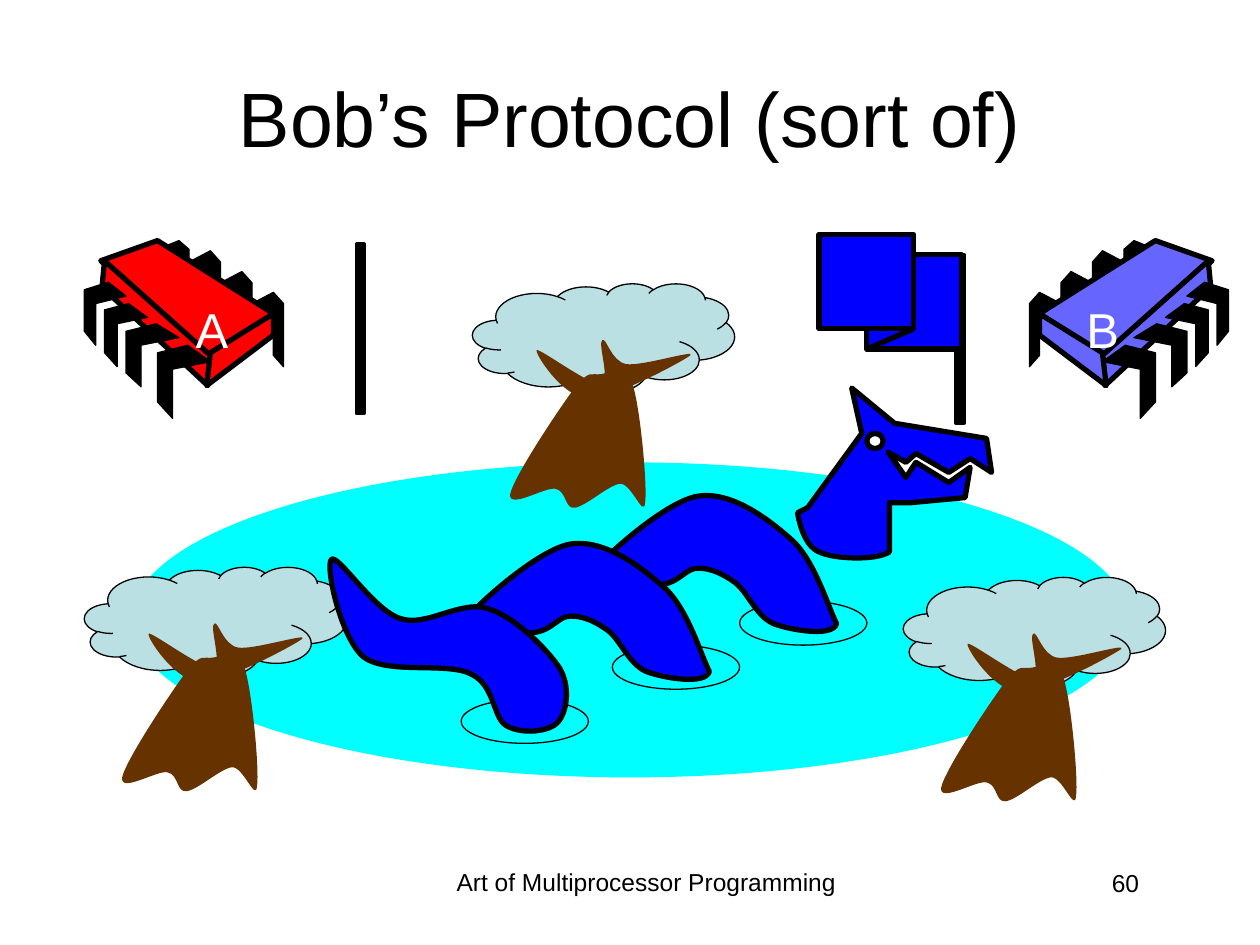
from lxml import etree
from pptx import Presentation
from pptx.dml.color import RGBColor
from pptx.enum.shapes import MSO_CONNECTOR, MSO_SHAPE
from pptx.enum.text import MSO_ANCHOR, MSO_AUTO_SIZE, PP_ALIGN
from pptx.oxml.ns import qn
from pptx.util import Inches, Pt

RECTANGLE, OVAL = MSO_SHAPE.RECTANGLE, MSO_SHAPE.OVAL
CLOUD = MSO_SHAPE.CLOUD_CALLOUT
LEFT, CENTER, RIGHT = PP_ALIGN.LEFT, PP_ALIGN.CENTER, PP_ALIGN.RIGHT
TOP, MIDDLE = MSO_ANCHOR.TOP, MSO_ANCHOR.MIDDLE

BLACK, WHITE, BLUE, RED = "000000", "FFFFFF", "0000FF", "FF0000"
VIOLET, CYAN, BROWN, LEAVES = "6666FF", "00FFFF", "663300", "BBE0E3"
THIN, POLE_LINE, THICK = 0.75, 2.25, 3

# An outline is a start point followed by lines (x, y) and curves (x1, y1, x2, y2, x, y).
BACK_PIN = [(2, 2.41), (2.17, 2.32), (2.25, 2.41), (2.25, 2.91),
            (2.17, 2.82), (2.17, 2.49), (2, 2.57)]
BACK_PIN_SHIFTS = [(0, 0), (-0.25, -0.165), (-0.5, -0.33)]
LAST_BACK_PIN = [(1.25, 1.98), (1.42, 1.91), (1.5, 1.98), (1.5, 2.41),
                 (1.42, 2.33), (1.42, 2.05), (1.25, 2.12)]
CHIP_FACES = [
    [(1.25, 1.91), (2.17, 2.49), (1.65, 2.84), (0.8, 2.07)],
    [(0.83, 2.07), (1.67, 2.82), (1.65, 3.06), (0.81, 2.28)],
    [(2.17, 2.49), (2.17, 2.66), (1.64, 3.06), (1.67, 2.8)],
]
FRONT_PINS = [
    [(1.49, 2.74), (1.67, 2.87), (1.37, 2.93), (1.37, 3.32), (1.25, 3.19), (1.25, 2.8)],
    [(1.24, 2.57), (1.42, 2.68), (1.12, 2.74), (1.12, 3.07), (1, 2.96), (1, 2.63)],
    [(1.02, 2.41), (1.17, 2.52), (0.93, 2.57), (0.93, 2.91), (0.83, 2.8), (0.83, 2.46)],
    [(0.86, 2.24), (1, 2.35), (0.76, 2.41), (0.76, 2.74), (0.67, 2.63), (0.67, 2.3)],
]
MIRROR_SUM = 10.42
CHIPS = [(RED, False), (VIOLET, True)]

TREE_CROWN = (3.75, 2.25, 2.08, 0.87)
TRUNK = [(4.56, 3.08), (4.68, 2.93, 4.69, 2.98, 4.77, 2.97),
         (4.84, 2.96, 4.96, 2.88, 5.02, 3.05), (5.08, 3.22, 5.14, 3.86, 5.12, 3.99),
         (5.11, 4.12, 5.01, 3.83, 4.92, 3.84), (4.83, 3.85, 4.65, 4.02, 4.56, 4.03),
         (4.48, 4.04, 4.5, 3.9, 4.41, 3.88), (4.33, 3.86, 4.03, 4.05, 4.05, 3.92),
         (4.08, 3.78, 4.44, 3.24, 4.56, 3.08)]
BRANCHES = [(4.26, 2.78), (4.24, 2.8, 4.46, 3.15, 4.66, 3.16),
            (4.87, 3.17, 5.43, 2.86, 5.48, 2.82), (5.53, 2.77, 5.09, 2.91, 4.97, 2.89),
            (4.85, 2.87, 4.81, 2.67, 4.78, 2.7), (4.74, 2.72, 4.85, 3.03, 4.77, 3.05),
            (4.68, 3.06, 4.28, 2.76, 4.26, 2.78)]
TREE_SHIFTS = [(0, 0), (3.42, 2.33), (-3.08, 2.25)]

HUMP = [(6.64, 4.95), (6.61, 5.06, 6.27, 5, 6.14, 4.95), (6, 4.89, 5.93, 4.69, 5.83, 4.62),
        (5.73, 4.55, 5.64, 4.51, 5.54, 4.51), (5.44, 4.51, 5.4, 4.62, 5.25, 4.64),
        (5.11, 4.65, 4.61, 4.72, 4.66, 4.6), (4.71, 4.49, 5.26, 3.99, 5.53, 3.94),
        (5.8, 3.89, 6.1, 4.12, 6.29, 4.29), (6.47, 4.46, 6.57, 4.81, 6.64, 4.95)]
HUMP_SHIFTS = [(0, 0), (-1.01, 0.38)]
HEAD = [(6.41, 4.03), (6.84, 3.44), (6.76, 3.08), (7.1, 3.36), (7.83, 3.48), (7.87, 3.75),
        (7.7, 3.64), (7.53, 3.75), (7.27, 3.6), (7.19, 3.67), (7.05, 3.59), (7.19, 3.79),
        (7.27, 3.67), (7.53, 3.83), (7.7, 3.71), (7.66, 3.95), (7.23, 3.99), (7.06, 3.99),
        (7.06, 4.38), (6.96, 4.45, 6.62, 4.44, 6.5, 4.38),
        (6.38, 4.33, 6.34, 4.13, 6.33, 4.07)]
TAIL = [(2.63, 4.44), (2.68, 4.39, 2.97, 4.85, 3.18, 4.91),
        (3.38, 4.98, 3.66, 4.76, 3.87, 4.83), (4.08, 4.89, 4.34, 5.15, 4.44, 5.3),
        (4.53, 5.45, 4.5, 5.65, 4.43, 5.73), (4.36, 5.81, 4.14, 5.83, 4.02, 5.76),
        (3.91, 5.7, 3.93, 5.44, 3.74, 5.35), (3.55, 5.25, 3.07, 5.36, 2.88, 5.21),
        (2.7, 5.05, 2.58, 4.49, 2.63, 4.44)]
RIPPLES = [(4.86, 5.12), (3.66, 5.55), (5.87, 4.77)]

LETTERS = [("A", 1.45), ("B", 8.52)]
CAPTIONS = [
    ("60", (7.06, 6.84, 2.08, 0.5), 14, RIGHT, TOP),
    ("Bob’s Protocol (sort of)", (0.5, 0.3, 9, 1.25), 44, CENTER, MIDDLE),
    ("Art of Multiprocessor Programming", (3.42, 6.83, 3.42, 0.52), 14, CENTER, TOP),
]


def color(value):
    return RGBColor.from_string(value)


def paint(shape, fill, width):
    shape.shadow.inherit = False
    if fill:
        shape.fill.solid()
        shape.fill.fore_color.rgb = color(fill)
    else:
        shape.fill.background()
    if width:
        shape.line.color.rgb = color(BLACK)
        shape.line.width = Pt(width)
    else:
        shape.line.fill.background()


def add_preset(shapes, kind, box, fill, width=0):
    shape = shapes.add_shape(kind, *map(Inches, box))
    paint(shape, fill, width)
    return shape


def shifted(outline, shift):
    return [tuple(value + shift[i % 2] for i, value in enumerate(step)) for step in outline]


def mirrored(outline):
    return [(MIRROR_SUM - x, y) for x, y in outline]


def add_outline(shapes, outline, fill, width=0):
    points = [(Inches(step[i]), Inches(step[i + 1]))
              for step in outline for i in range(0, len(step), 2)]
    builder = shapes.build_freeform(*points[0], scale=1.0)
    builder.add_line_segments(points[1:], close=True)
    shape = builder.convert_to_shape()
    segments = iter(list(shape.element.iter(qn("a:lnTo"))))
    for step in outline[1:]:
        segment = next(segments)
        if len(step) == 6:
            segment.tag = qn("a:cubicBezTo")
            for extra in (next(segments), next(segments)):
                segment.append(extra[0])
                extra.getparent().remove(extra)
    paint(shape, fill, width)


def add_text(shapes, text, box, size, align, anchor=TOP, ink=BLACK, wrap=True):
    text_box = shapes.add_textbox(*map(Inches, box))
    frame = text_box.text_frame
    frame.word_wrap = wrap
    frame.auto_size = MSO_AUTO_SIZE.NONE if wrap else MSO_AUTO_SIZE.SHAPE_TO_FIT_TEXT
    frame.vertical_anchor = anchor
    paragraph = frame.paragraphs[0]
    paragraph.text = text
    paragraph.alignment = align
    paragraph.font.name = "Arial"
    paragraph.font.size = Pt(size)
    paragraph.font.color.rgb = color(ink)


def add_chip(shapes, fill, flip):
    chip = shapes.add_group_shape().shapes
    back_pins = [shifted(BACK_PIN, shift) for shift in BACK_PIN_SHIFTS] + [LAST_BACK_PIN]
    parts = [(outline, BLACK, THIN) for outline in back_pins]
    parts += [(outline, fill, THICK) for outline in CHIP_FACES]
    parts += [(outline, BLACK, THIN) for outline in FRONT_PINS]
    for outline, part_fill, width in parts:
        add_outline(chip, mirrored(outline) if flip else outline, part_fill, width)


def add_tree(shapes, shift):
    tree = shapes.add_group_shape().shapes
    left, top, width, height = TREE_CROWN
    crown = add_preset(tree, CLOUD, (left + shift[0], top + shift[1], width, height), LEAVES, THIN)
    crown.adjustments[0], crown.adjustments[1] = 0.018, 0.493
    for outline in (TRUNK, BRANCHES):
        add_outline(tree, shifted(outline, shift), BROWN)


def add_flag(shapes):
    flag = shapes.add_group_shape().shapes
    add_preset(flag, RECTANGLE, (7.59, 2.02, 0.06, 1.34), BLACK, POLE_LINE)
    add_preset(flag, RECTANGLE, (6.88, 2.02, 0.75, 0.75), BLUE, THICK)
    fold = flag.add_connector(MSO_CONNECTOR.STRAIGHT, *map(Inches, (6.88, 2.77, 7.25, 2.61)))
    fold.line.color.rgb = color(BLACK)
    fold.line.width = Pt(THICK)
    etree.SubElement(fold.element.spPr, qn("a:effectLst"))
    add_preset(flag, RECTANGLE, (6.5, 1.86, 0.75, 0.75), BLUE, THICK)


def main():
    presentation = Presentation()
    presentation.slide_width, presentation.slide_height = Inches(10), Inches(7.5)
    slide = presentation.slides.add_slide(presentation.slide_layouts[6])
    shapes = slide.shapes

    for caption in CAPTIONS:
        add_text(shapes, *caption)
    for fill, flip in CHIPS:
        add_chip(shapes, fill, flip)
    add_preset(shapes, OVAL, (1.04, 3.67, 7.92, 2.5), CYAN)
    for letter, left in LETTERS:
        add_text(shapes, letter, (left, 2.33, 0.46, 0.57), 28, RIGHT, ink=WHITE, wrap=False)
    for shift in TREE_SHIFTS:
        add_tree(shapes, shift)
    add_flag(shapes)
    add_preset(shapes, RECTANGLE, (2.83, 1.94, 0.06, 1.34), BLACK, POLE_LINE)
    for left, top in RIPPLES:
        add_preset(shapes, OVAL, (left, top, 1.01, 0.35), None, THIN)
    for shift in HUMP_SHIFTS:
        add_outline(shapes, shifted(HUMP, shift), BLUE, THICK)
    add_outline(shapes, HEAD, BLUE, THICK)
    add_preset(shapes, OVAL, (6.88, 3.44, 0.13, 0.12), WHITE, THICK)
    add_outline(shapes, TAIL, BLUE, THICK)
    presentation.save("out.pptx")


if __name__ == "__main__":
    main()
